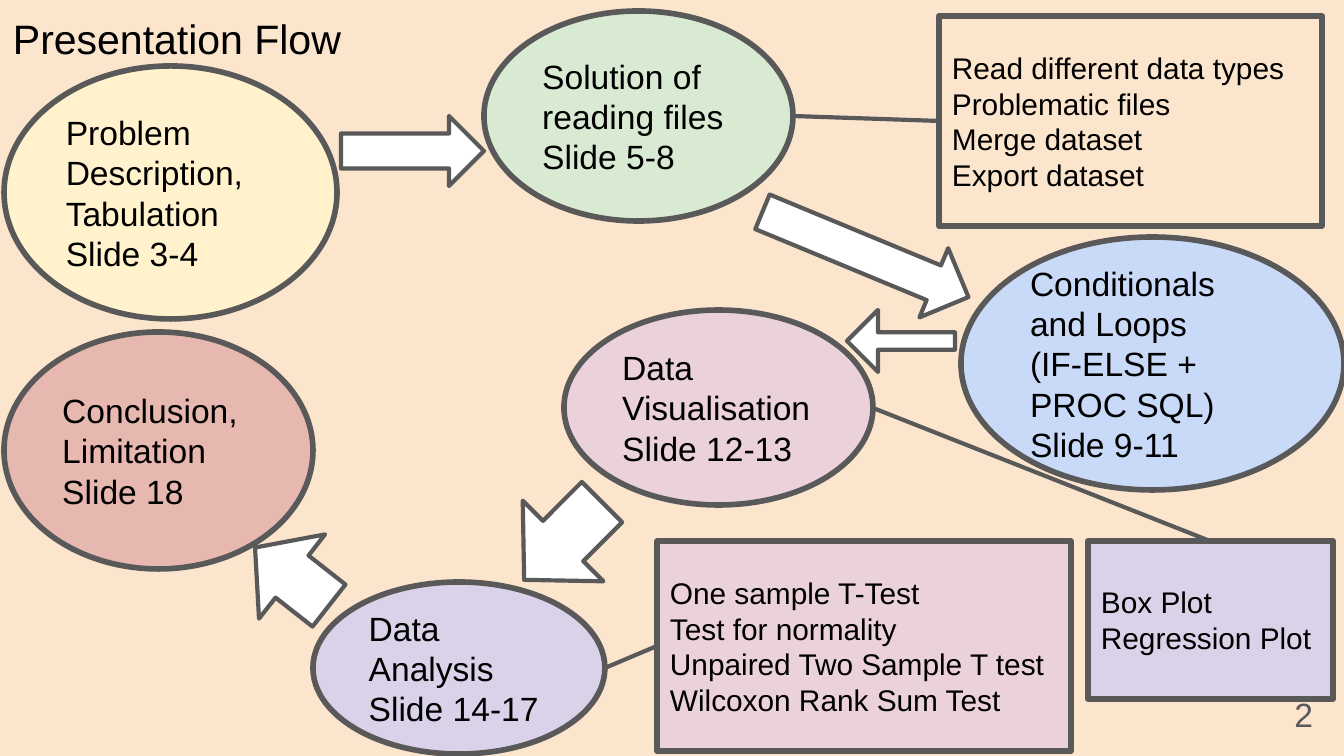
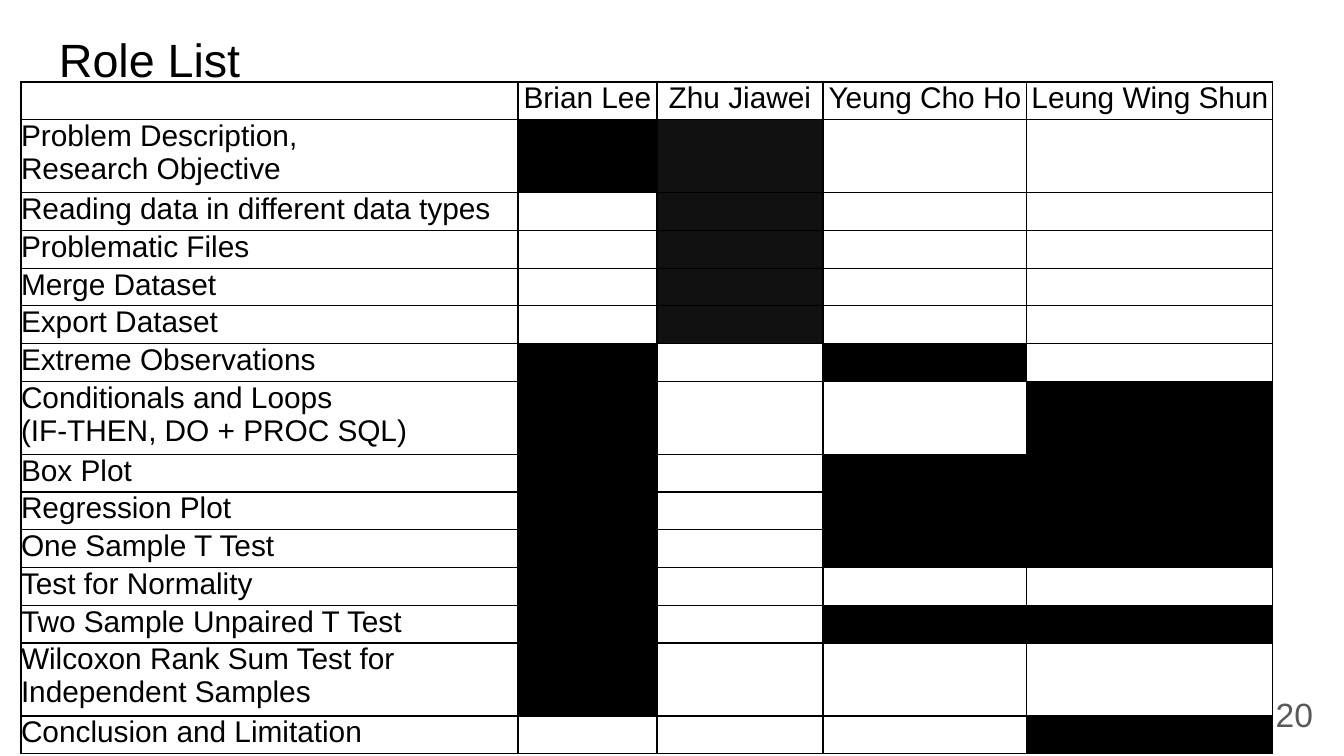
from lxml.etree import SubElement
from pptx import Presentation
from pptx.dml.color import RGBColor
from pptx.enum.shapes import MSO_CONNECTOR, MSO_SHAPE
from pptx.enum.text import MSO_ANCHOR, PP_ALIGN
from pptx.oxml.ns import qn
from pptx.util import Pt

SCALE = 914400 / 134.4  # EMU in one px
FONT = "Arial"
BLACK, WHITE, GRAY = "000000", "FFFFFF", "595959"
PEACH, PINK, LILAC = "FCE5CD", "EAD1DC", "D9D2E9"


def color(hex_string):
    return RGBColor.from_string(hex_string)


def write(frame, lines, size, ink=BLACK, align=PP_ALIGN.LEFT):
    frame.word_wrap = True
    frame.text = "\n".join(lines)
    for paragraph in frame.paragraphs:
        paragraph.alignment = align
        paragraph.font.name = FONT
        paragraph.font.size = Pt(size)
        paragraph.font.color.rgb = color(ink)


presentation = Presentation()
presentation.slide_width = round(1344 * SCALE)
presentation.slide_height = round(756 * SCALE)

# Background, title and page number of both slides
pages = [
    ("Presentation Flow", 22, (0, 0, 1253, 85), "2", PEACH),
    ("Role List", 25, (46, 18, 1253, 56), "20", WHITE),
]
slides = []
for title, title_size, title_box, number, background in pages:
    slide = presentation.slides.add_slide(presentation.slide_layouts[6])
    slide.background.fill.solid()
    slide.background.fill.fore_color.rgb = color(background)
    slides.append(slide)
    for text, size, box, ink, align in [
        (title, title_size, title_box, BLACK, PP_ALIGN.LEFT),
        (number, 18, (1245, 685, 81, 58), GRAY, PP_ALIGN.RIGHT),
    ]:
        frame = slide.shapes.add_textbox(*[round(v * SCALE) for v in box]).text_frame
        frame.margin_left = frame.margin_right = round(13 * SCALE)
        frame.margin_top = frame.margin_bottom = round(13 * SCALE)
        write(frame, [text], size, ink, align)
    frame.vertical_anchor = MSO_ANCHOR.MIDDLE
flow_slide, role_slide = slides

# Flow: steps are ellipses, details are boxes, arrows carry no text
OVAL, BOX, ARROW = MSO_SHAPE.OVAL, MSO_SHAPE.RECTANGLE, MSO_SHAPE.RIGHT_ARROW
flow_shapes = [
    (OVAL, (4, 66, 333, 253), 0, "FFF2CC",
     ["Problem Description, Tabulation", "Slide 3-4"]),
    (OVAL, (484, 11, 309, 210), 0, "D9EAD3",
     ["Solution of reading files", "Slide 5-8"]),
    (OVAL, (564, 310, 309, 195), 0, PINK, ["Data Visualisation", "Slide 12-13"]),
    (OVAL, (313, 582, 292, 172), 0, LILAC, ["Data Analysis", "Slide 14-17"]),
    (OVAL, (4, 332, 309, 237), 0, "E6B8AF", ["Conclusion, Limitation", "Slide 18"]),
    (BOX, (939, 16, 383, 210), 0, PEACH,
     ["Read different data types", "Problematic files", "Merge dataset", "Export dataset"]),
    (BOX, (1088, 541, 245, 158), 0, LILAC, ["Box Plot", "Regression Plot"]),
    (BOX, (657, 541, 414, 210), 0, PINK,
     ["One sample T-Test", "Test for normality", "Unpaired Two Sample T test",
      "Wilcoxon Rank Sum Test"]),
    (OVAL, (961, 237, 383, 253), 0, "C9DAF8",
     ["Conditionals and Loops", "(IF-ELSE + PROC SQL)", "Slide 9-11"]),
    (ARROW, (341, 116, 143, 70), 0, WHITE, []),
    (ARROW, (847, 310, 108, 62), 180, WHITE, []),
    (ARROW, (508, 484, 110, 114), 135, WHITE, []),
    (ARROW, (245, 523, 94, 107), 218.1, WHITE, []),
    (ARROW, (754, 217, 223, 75), 22.5, WHITE, []),
]
for kind, box, rotation, fill, lines in flow_shapes:
    shape = flow_slide.shapes.add_shape(kind, *[round(v * SCALE) for v in box])
    shape.shadow.inherit = False
    shape.rotation = rotation
    shape.fill.solid()
    shape.fill.fore_color.rgb = color(fill)
    shape.line.color.rgb = color(GRAY)
    shape.line.width = Pt(2.25 if kind == ARROW else 3)
    if rotation == 180:
        shape.adjustments[0] = 0.28  # slim shaft
    if lines:
        frame = shape.text_frame
        frame.margin_left = frame.margin_right = round(13 * SCALE)
        frame.vertical_anchor = MSO_ANCHOR.MIDDLE
        write(frame, lines, 18 if kind == OVAL else 16)

# Lines from the steps to their details
for ends in [(793, 116, 939, 121), (873, 408, 1210, 541), (605, 668, 657, 646)]:
    connector = flow_slide.shapes.add_connector(
        MSO_CONNECTOR.STRAIGHT, *[round(v * SCALE) for v in ends])
    connector.line.color.rgb = color(GRAY)
    connector.line.width = Pt(2.25)
    SubElement(connector._element.spPr, qn("a:effectLst"))

# Role table: one mark per member, "#" black, "+" near black, "." empty
MARKS = {"#": BLACK, "+": "111111", ".": WHITE}
members = ["Brian Lee", "Zhu Jiawei", "Yeung Cho Ho", "Leung Wing Shun"]
tasks = [
    (["Problem Description,", "Research Objective"], "#+.."),
    (["Reading data in different data types"], ".+.."),
    (["Problematic Files"], ".+.."),
    (["Merge Dataset"], ".+.."),
    (["Export Dataset"], ".+.."),
    (["Extreme Observations"], "#.#."),
    (["Conditionals and Loops", "(IF-THEN, DO + PROC SQL)"], "#..#"),
    (["Box Plot"], "#.##"),
    (["Regression Plot"], "#.##"),
    (["One Sample T Test"], "#.##"),
    (["Test for Normality"], "#..."),
    (["Two Sample Unpaired T Test"], "#.##"),
    (["Wilcoxon Rank Sum Test for Independent Samples"], "#..."),
    (["Conclusion and Limitation"], "...#"),
]
TABLE_HEIGHT, TALL_ROW = 672, 73
tall_rows = {1, 7, 13}
column_widths = [497, 139, 166, 204, 246]
row_count = len(tasks) + 1
low_row = (TABLE_HEIGHT - TALL_ROW * len(tall_rows)) / (row_count - len(tall_rows))

table = role_slide.shapes.add_table(
    row_count, len(column_widths),
    *[round(v * SCALE) for v in (21, 82, sum(column_widths), TABLE_HEIGHT)]).table
table.first_row = table.horz_banding = False
for column, width in zip(table.columns, column_widths):
    column.width = round(width * SCALE)
for index, row in enumerate(table.rows):
    row.height = round((TALL_ROW if index in tall_rows else low_row) * SCALE)

grid = [([""], "....")] + tasks
for row_index, (task, marks) in enumerate(grid):
    for column_index, mark in enumerate("." + marks):
        cell = table.cell(row_index, column_index)
        cell.margin_left = cell.margin_right = cell.margin_top = cell.margin_bottom = 0
        if column_index == 0:
            write(cell.text_frame, task, 16)
        else:  # empty cells also need the small font, or their rows grow
            name = members[column_index - 1] if row_index == 0 else ""
            write(cell.text_frame, [name], 16, align=PP_ALIGN.CENTER)
        for side in ("a:lnL", "a:lnR", "a:lnT", "a:lnB"):
            border = SubElement(cell._tc.get_or_add_tcPr(), qn(side), w=str(Pt(0.75)))
            SubElement(SubElement(border, qn("a:solidFill")), qn("a:srgbClr"), val=BLACK)
        cell.fill.solid()
        cell.fill.fore_color.rgb = color(MARKS[mark])

presentation.save("out.pptx")
